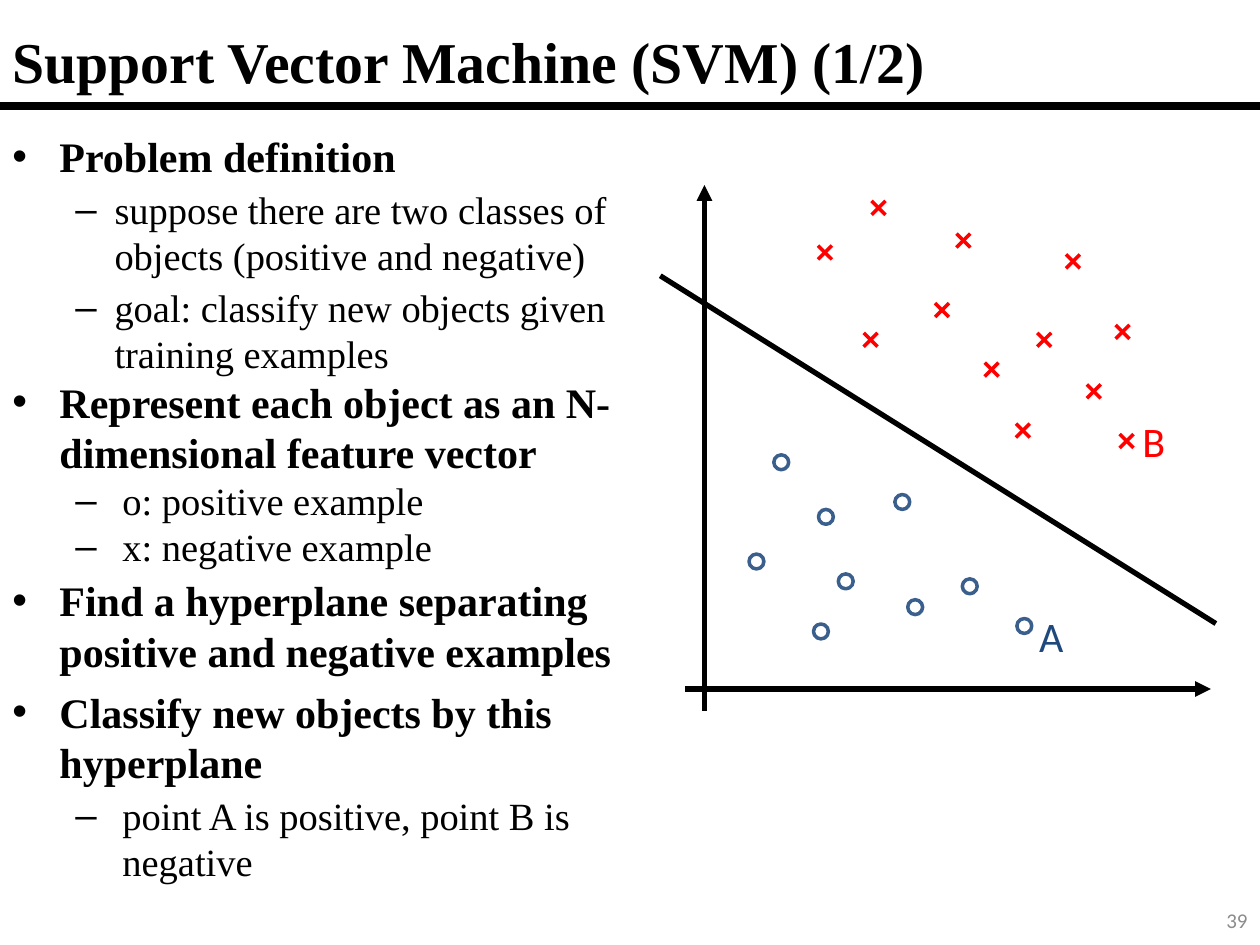
from typing import NamedTuple

from lxml.etree import SubElement
from pptx import Presentation
from pptx.dml.color import RGBColor
from pptx.enum.shapes import MSO_CONNECTOR, MSO_SHAPE
from pptx.enum.text import MSO_ANCHOR as Anchor, PP_ALIGN as Align
from pptx.oxml.ns import qn
from pptx.slide import Slide
from pptx.text.text import TextFrame, _Paragraph as Paragraph
from pptx.util import Cm, Pt

COLORS = {
    "ink": "000000",
    "negative": "FF0000",
    "positive": "3A5F8C",
    "positive label": "1F497D",
    "page number": "8C8C8C",
}
SERIF = "Times New Roman"
SANS = "Calibri"
CIRCLE_SIZE = 0.3
CROSS_REACH = 0.14


class Point(NamedTuple):
    x: float
    y: float


class Box(NamedTuple):
    left: float
    top: float
    width: float
    height: float


class Bullet(NamedTuple):
    text: str
    level: int = 0
    indent: float = 0.95
    hanging: float = 0.95
    before: float = 0
    after: float = 0


POSITIVES = [
    Point(15.75, 9.32), Point(16.65, 10.42), Point(18.19, 10.12),
    Point(19.55, 11.82), Point(18.45, 12.24), Point(17.05, 11.72),
    Point(15.25, 11.32), Point(16.55, 12.73), Point(20.65, 12.62),
]
NEGATIVES = [
    Point(17.71, 4.19), Point(17.55, 6.85), Point(20.62, 8.68),
    Point(21.05, 6.85), Point(18.99, 6.25), Point(19.42, 4.85),
    Point(21.63, 5.27), Point(22.05, 7.89), Point(19.99, 7.45),
    Point(16.63, 5.09), Point(22.63, 6.69), Point(22.71, 8.89),
]
BULLETS = [
    Bullet("Problem definition"),
    Bullet("suppose there are two classes of objects (positive and negative)",
           1, 2.06, 0.79, before=3),
    Bullet("goal: classify new objects given training examples",
           1, 2.06, 0.79, before=3),
    Bullet("Represent each object as an N-dimensional feature vector"),
    Bullet("o: positive example", 1, 2.22),
    Bullet("x: negative example", 1, 2.22),
    Bullet("Find a hyperplane separating positive and negative examples",
           before=3, after=3),
    Bullet("Classify new objects by this hyperplane", before=3),
    Bullet("point A is positive, point B is negative", 1, 2.22, before=3),
]


def rgb(color: str) -> RGBColor:
    return RGBColor.from_string(COLORS[color])


def style(paragraph: Paragraph, size: float, color: str, face: str,
          bold: bool = False) -> None:
    font = paragraph.font
    font.name, font.size, font.bold = face, Pt(size), bold
    font.color.rgb = rgb(color)


def add_text_frame(slide: Slide, box: Box, anchor: Anchor = Anchor.TOP) -> TextFrame:
    frame = slide.shapes.add_textbox(*map(Cm, box)).text_frame
    frame.word_wrap = True
    frame.vertical_anchor = anchor
    return frame


def add_label(slide: Slide, text: str, box: Box, size: float, color: str,
              face: str = SANS, bold: bool = False,
              anchor: Anchor = Anchor.TOP, align: Align = Align.LEFT) -> None:
    label = add_text_frame(slide, box, anchor).paragraphs[0]
    label.text = text
    label.alignment = align
    style(label, size, color, face, bold)


def add_line(slide: Slide, start: Point, end: Point, width: float,
             color: str = "ink", arrow: bool = False) -> None:
    line = slide.shapes.add_connector(
        MSO_CONNECTOR.STRAIGHT, *map(Cm, (*start, *end)))
    line.line.width = Pt(width)
    line.line.color.rgb = rgb(color)
    if arrow:
        SubElement(line.line._get_or_add_ln(), qn("a:tailEnd"), type="triangle")
    SubElement(line._element.spPr, qn("a:effectLst"))


def add_circle(slide: Slide, center: Point) -> None:
    radius = CIRCLE_SIZE / 2
    circle = slide.shapes.add_shape(
        MSO_SHAPE.OVAL, Cm(center.x - radius), Cm(center.y - radius),
        Cm(CIRCLE_SIZE), Cm(CIRCLE_SIZE))
    circle.shadow.inherit = False
    circle.fill.background()
    circle.line.width = Pt(2)
    circle.line.color.rgb = rgb("positive")


def add_cross(slide: Slide, center: Point) -> None:
    for rise in (CROSS_REACH, -CROSS_REACH):
        add_line(slide, Point(center.x - CROSS_REACH, center.y - rise),
                 Point(center.x + CROSS_REACH, center.y + rise), 2, "negative")


def add_bullets(slide: Slide, box: Box, bullets: list[Bullet]) -> None:
    frame = add_text_frame(slide, box)
    for index, bullet in enumerate(bullets):
        paragraph = frame.add_paragraph() if index else frame.paragraphs[0]
        paragraph.text = bullet.text
        paragraph.level = bullet.level
        paragraph.space_before = Pt(bullet.before)
        paragraph.space_after = Pt(bullet.after)
        heading = bullet.level == 0
        style(paragraph, 24 if heading else 22, "ink", SERIF, heading)
        properties = paragraph._p.get_or_add_pPr()
        properties.set("marL", str(Cm(bullet.indent)))
        properties.set("indent", str(-Cm(bullet.hanging)))
        marker_font = properties.makeelement(qn("a:buFont"), {"typeface": "Arial"})
        marker = properties.makeelement(
            qn("a:buChar"), {"char": "•" if heading else "–"})
        default_run = properties.find(qn("a:defRPr"))
        default_run.addprevious(marker_font)
        default_run.addprevious(marker)


def main() -> None:
    deck = Presentation()
    deck.slide_width, deck.slide_height = Cm(25.4), Cm(19.05)
    slide = deck.slides.add_slide(deck.slide_layouts[6])

    add_label(slide, "Support Vector Machine (SVM) (1/2)", Box(0, 0.22, 25.37, 2),
              33, "ink", SERIF, bold=True, anchor=Anchor.MIDDLE)
    add_line(slide, Point(0, 2.13), Point(25.4, 2.13), 4.5)
    add_bullets(slide, Box(0, 2.51, 12.9, 15.6), BULLETS)

    add_line(slide, Point(13.31, 5.56), Point(24.51, 12.57), 3)
    add_line(slide, Point(14.2, 14.33), Point(14.2, 3.73), 3, arrow=True)
    add_line(slide, Point(13.81, 13.89), Point(24.41, 13.89), 3, arrow=True)
    for center in POSITIVES:
        add_circle(slide, center)
    for center in NEGATIVES:
        add_cross(slide, center)
    add_label(slide, "A", Box(20.7, 12.18, 1.2, 1.27), 24, "positive label")
    add_label(slide, "B", Box(22.78, 8.25, 1.2, 1.27), 24, "negative")

    add_label(slide, "39", Box(19.69, 18.03, 5.71, 1.02), 12, "page number",
              anchor=Anchor.MIDDLE, align=Align.RIGHT)
    deck.save("out.pptx")


if __name__ == "__main__":
    main()
